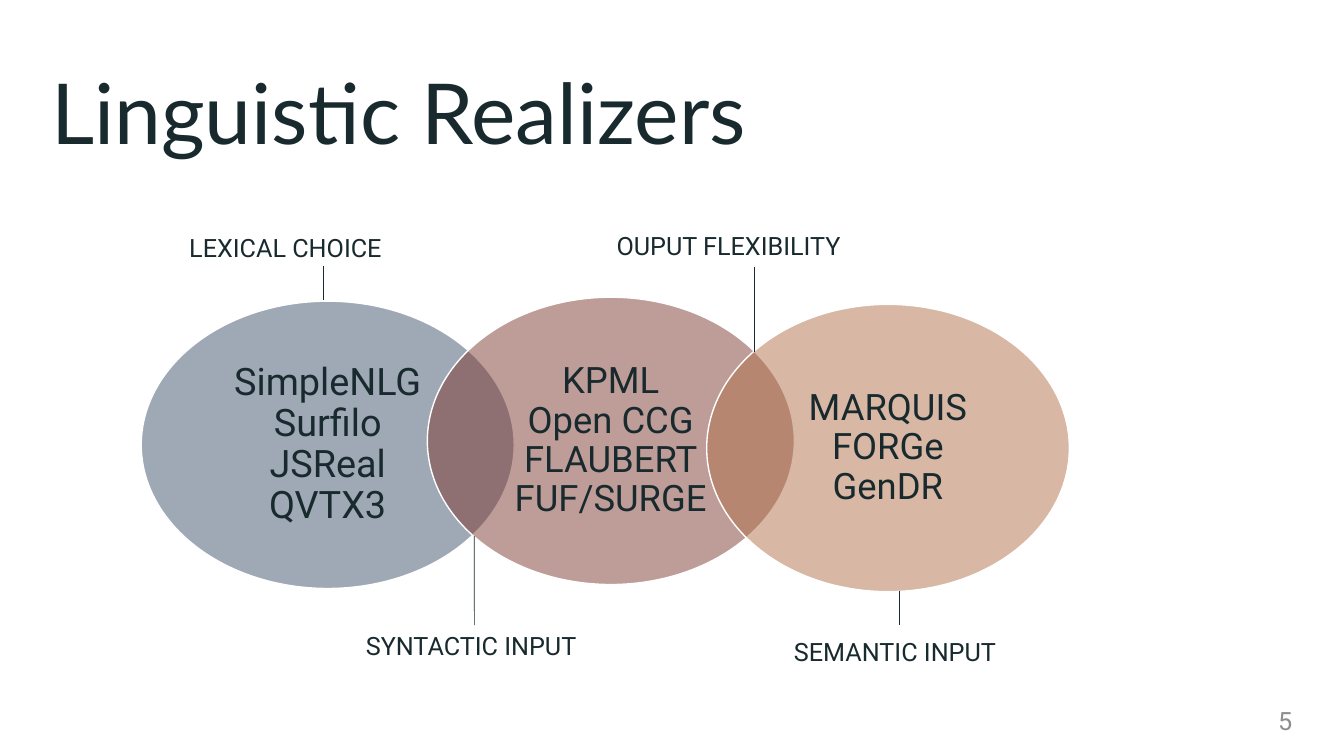
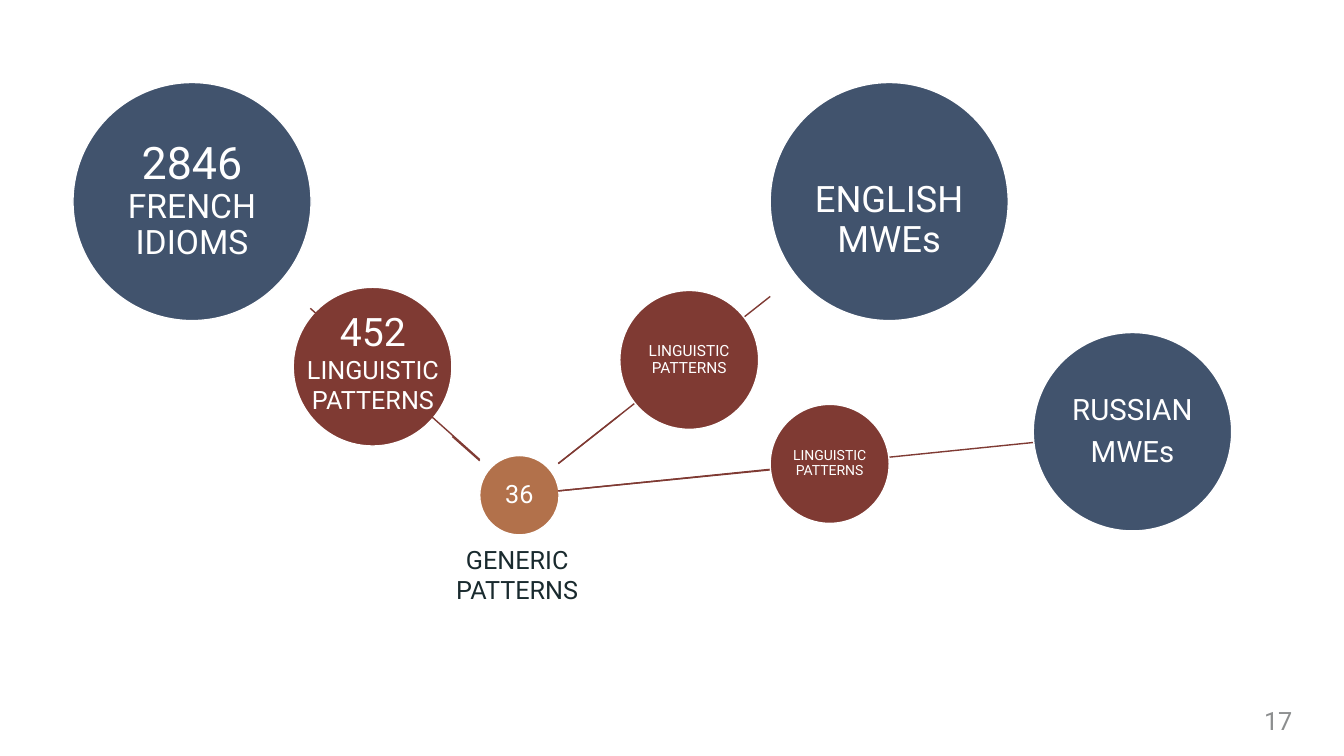
from dataclasses import dataclass
from typing import Any, NamedTuple, Optional

import pptx
import pptx.dml.color
import pptx.enum.shapes
import pptx.enum.text
import pptx.oxml
import pptx.oxml.ns
import pptx.util
from lxml import etree

Cm = pptx.util.Cm
Pt = pptx.util.Pt
Align = pptx.enum.text.PP_ALIGN
Anchor = pptx.enum.text.MSO_ANCHOR
Shape = pptx.enum.shapes.MSO_SHAPE


@dataclass(frozen=True)
class Theme:
    ink: str = "192A2E"
    white: str = "FFFFFF"
    gray: str = "8C8E8F"
    blue: str = "41536D"
    red: str = "7F3A33"
    copper: str = "B2714B"
    title_font: str = "Lato"
    body_font: str = "Roboto"
    title_size: int = 60
    label_size: int = 18
    tight: float = 0.9


THEME = Theme()


class Area(NamedTuple):
    """A rectangle in centimetres."""
    left: float
    top: float
    width: float
    height: float


class Span(NamedTuple):
    text: str
    size: float = THEME.label_size


class TextStyle(NamedTuple):
    color: str = THEME.ink
    font: str = THEME.body_font
    align: Any = Align.LEFT
    anchor: Any = Anchor.TOP
    line_spacing: Optional[float] = None
    space_after: float = 0
    wrap: bool = True


class Oval(NamedTuple):
    area: Area
    fill: str
    inset: float
    paragraphs: list[list[Span]]
    extra_top: float = 0


class Label(NamedTuple):
    area: Area
    paragraphs: list[list[Span]]
    style: TextStyle


class Line(NamedTuple):
    start: tuple[float, float]
    end: tuple[float, float]


TITLE_AREA = Area(1.04, 1.7, 29.57, 3.76)
NUMBER_AREA = Area(29.77, 17.65, 3.05, 1.02)
LABEL_HEIGHT = 1.02

TITLE_STYLE = TextStyle(font=THEME.title_font, line_spacing=THEME.tight)
NUMBER_STYLE = TextStyle(THEME.gray, align=Align.RIGHT, anchor=Anchor.MIDDLE)
LABEL_STYLE = TextStyle(wrap=False)
CAPTION_STYLE = LABEL_STYLE._replace(align=Align.CENTER)
VENN_STYLE = TextStyle(align=Align.CENTER, anchor=Anchor.MIDDLE,
                       line_spacing=THEME.tight)
CIRCLE_STYLE = VENN_STYLE._replace(color=THEME.white, space_after=7.5)


def rgb(color: str) -> pptx.dml.color.RGBColor:
    return pptx.dml.color.RGBColor.from_string(color)


def set_all(target: Any, values: dict[str, Any]) -> None:
    for name, value in values.items():
        setattr(target, name, value)


def write(frame: Any, paragraphs: list[list[Span]], style: TextStyle) -> None:
    """Fill a text frame; a newline inside a span is a line break."""
    set_all(frame, {"word_wrap": style.wrap, "vertical_anchor": style.anchor})
    for index, spans in enumerate(paragraphs):
        para = frame.add_paragraph() if index else frame.paragraphs[0]
        last = index == len(paragraphs) - 1
        set_all(para, {
            "alignment": style.align,
            "line_spacing": style.line_spacing,
            "space_after": Pt(0 if last else style.space_after),
        })
        for span in spans:
            for row, text in enumerate(span.text.split("\n")):
                if row:
                    para.add_line_break()
                if text:
                    run = para.add_run()
                    run.text = text
                    set_all(run.font, {"size": Pt(span.size), "name": style.font})
                    run.font.color.rgb = rgb(style.color)


def add_text(page: Any, area: Area, paragraphs: list[list[Span]],
             style: TextStyle) -> Any:
    box = page.shapes.add_textbox(*map(Cm, area))
    write(box.text_frame, paragraphs, style)
    return box


def add_oval(page: Any, oval: Oval, preset: Any, style: TextStyle,
             opacity: Optional[int] = None) -> None:
    shape = page.shapes.add_shape(preset, *map(Cm, oval.area))
    shape.shadow.inherit = False
    shape.fill.solid()
    shape.fill.fore_color.rgb = rgb(oval.fill)
    if opacity is not None:
        color = shape.fill._xPr.find(".//" + pptx.oxml.ns.qn("a:srgbClr"))
        alpha = etree.SubElement(color, pptx.oxml.ns.qn("a:alpha"))
        alpha.set("val", str(opacity * 1000))
    shape.line.color.rgb = rgb(THEME.white)
    shape.line.width = Pt(1)
    set_all(shape.text_frame, {
        "margin_left": Cm(oval.inset),
        "margin_right": Cm(oval.inset),
        "margin_top": Cm(oval.inset + oval.extra_top),
        "margin_bottom": Cm(oval.inset),
    })
    write(shape.text_frame, oval.paragraphs, style)


def add_line(page: Any, line: Line, color: str, width: float) -> Any:
    connector = page.shapes.add_connector(
        pptx.enum.shapes.MSO_CONNECTOR.STRAIGHT,
        *map(Cm, line.start + line.end))
    connector.line.color.rgb = rgb(color)
    connector.line.width = Pt(width)
    etree.SubElement(connector._element.spPr, pptx.oxml.ns.qn("a:effectLst"))
    return connector


def add_page(deck: Any, number: int, title: str = "") -> Any:
    """Add a blank page with its number and, if given, its title."""
    page = deck.slides.add_slide(deck.slide_layouts[6])
    if title:
        add_text(page, TITLE_AREA, [[Span(title, THEME.title_size)]], TITLE_STYLE)
    add_text(page, NUMBER_AREA, [[Span(str(number))]], NUMBER_STYLE)
    return page


def circle(left: float, top: float, size: float, fill: str, inset: float,
           *paragraphs: list[Span], extra_top: float = 0) -> Oval:
    return Oval(Area(left, top, size, size), fill, inset, list(paragraphs), extra_top)


def build_realizers(deck: Any) -> None:
    page = add_page(deck, 5, "Linguistic Realizers")
    ovals = [
        Oval(Area(3.56, 7.59, 9.4, 7.24), THEME.blue, 0.28,
             [[Span("SimpleNLG\nSurfilo\nJSReal\nQVTX3", 27)]]),
        Oval(Area(10.77, 7.49, 9.25, 7.24), THEME.red, 0.28,
             [[Span("KPML\nOpen CCG\nFLAUBERT\nFUF/SURGE", 26)]]),
        Oval(Area(17.81, 7.67, 9.14, 7.24), THEME.copper, 0.28,
             [[Span("MARQUIS\nFORGe\nGenDR", 26)]]),
    ]
    for oval in ovals:
        add_oval(page, oval, Shape.OVAL, VENN_STYLE, opacity=50)

    labels = {
        "LEXICAL CHOICE": (4.52, 5.72, 5.64),
        "OUPUT FLEXIBILITY": (15.29, 5.69, 6.3),
        "SYNTACTIC INPUT": (8.97, 15.75, 5.97),
        "SEMANTIC INPUT": (19.76, 15.9, 5.77),
    }
    boxes = {
        text: add_text(page, Area(*place, LABEL_HEIGHT), [[Span(text)]], LABEL_STYLE)
        for text, place in labels.items()
    }
    leaders = {
        "LEXICAL CHOICE": Line((8.15, 6.71), (8.15, 7.57)),
        "OUPUT FLEXIBILITY": Line((19, 6.73), (19, 8.86)),
        "SYNTACTIC INPUT": Line((11.95, 13.51), (11.95, 15.75)),
        "SEMANTIC INPUT": Line((22.66, 14.88), (22.66, 15.75)),
    }
    connectors = {
        text: add_line(page, leader, THEME.ink, 0.5)
        for text, leader in leaders.items()
    }
    connectors["SYNTACTIC INPUT"].end_connect(boxes["SYNTACTIC INPUT"], 0)


def build_patterns(deck: Any) -> None:
    page = add_page(deck, 17)
    right_hub, left_hub = 14.07, 12.09
    parts = [
        circle(left_hub, 11.48, 2, THEME.copper, 0.13, [Span("36")]),
        Line((right_hub, 12.37), (26.04, 11.15)),
        circle(26.04, 8.38, 5, THEME.blue, 0.15,
               [Span("RUSSIAN", 21)], [Span("MWEs", 21)]),
        Line((right_hub, 11.68), (19.41, 7.47)),
        circle(19.41, 2.08, 6, THEME.blue, 0.18,
               [Span("ENGLISH MWEs", 26)], extra_top=0.97),
        Line((right_hub, 12.37), (19.41, 11.84)),
        circle(19.41, 10.19, 3, THEME.red, 0.08,
               [Span("LINGUISTIC PATTERNS", 10)]),
        Line((right_hub, 11.68), (15.62, 10.46)),
        circle(15.62, 7.32, 3.5, THEME.red, 0.08,
               [Span("LINGUISTIC PATTERNS", 11)]),
        Line((left_hub, 11.61), (11.4, 11)),
        circle(7.39, 7.24, 4, THEME.red, 0.1),
        Line((left_hub, 11.58), (7.82, 7.77)),
        circle(1.84, 2.08, 6, THEME.blue, 0.23,
               [Span("2846", 32), Span(" FRENCH IDIOMS", 24)]),
        Label(Area(11.23, 13.59, 3.61, 1.8),
              [[Span("GENERIC")], [Span("PATTERNS")]], CAPTION_STYLE),
        Label(Area(7.42, 7.62, 3.96, 3),
              [[Span("452\n", 28), Span("LINGUISTIC")], [Span("PATTERNS")]],
              CAPTION_STYLE._replace(color=THEME.white)),
    ]
    for part in parts:
        if isinstance(part, Line):
            add_line(page, part, THEME.red, 1)
        elif isinstance(part, Oval):
            add_oval(page, part, Shape.FLOWCHART_CONNECTOR, CIRCLE_STYLE)
        else:
            add_text(page, *part)


def main() -> None:
    deck = pptx.Presentation()
    set_all(deck, {"slide_width": Cm(33.87), "slide_height": Cm(19.05)})
    build_realizers(deck)
    build_patterns(deck)
    deck.save("out.pptx")


if __name__ == "__main__":
    main()
